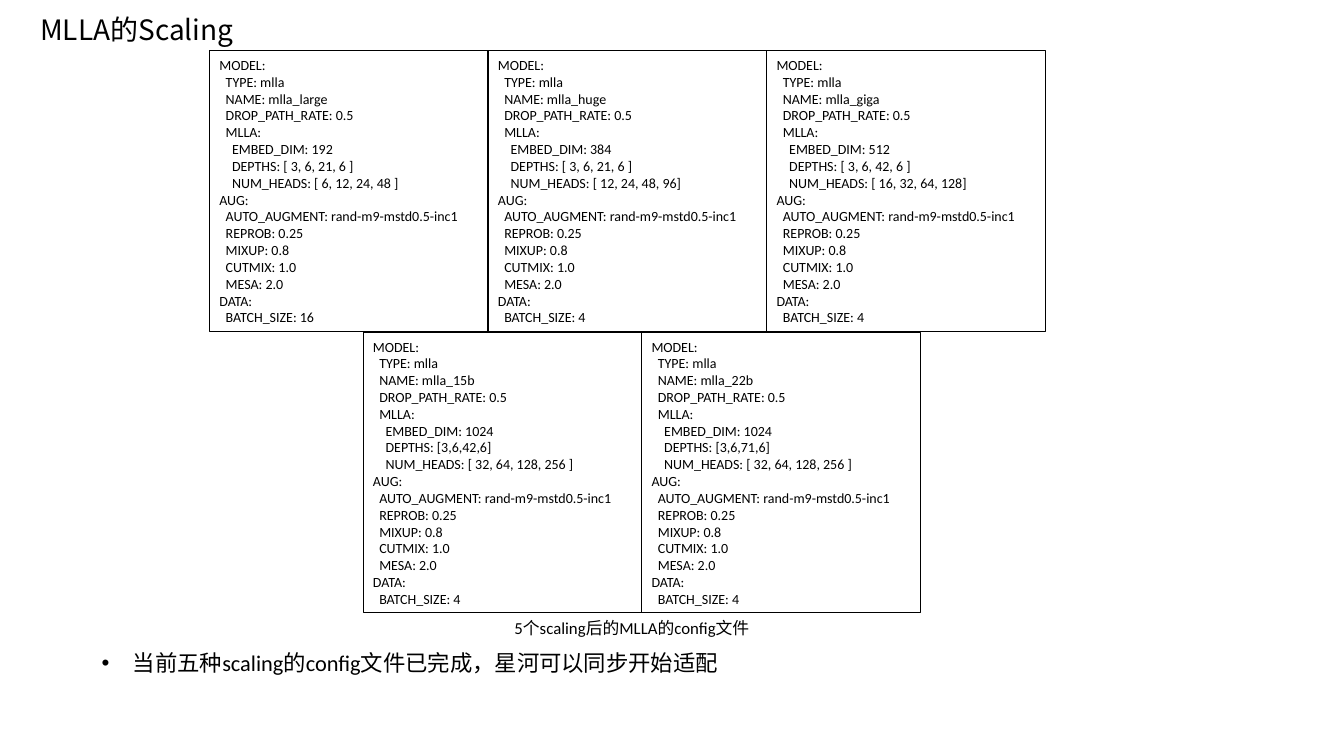
from dataclasses import dataclass

from pptx import Presentation
from pptx.dml.color import RGBColor
from pptx.enum.shapes import MSO_SHAPE as Preset
from pptx.enum.text import MSO_ANCHOR as Anchor, PP_ALIGN as Align
from pptx.oxml.ns import qn
from pptx.util import Cm, Pt
from lxml.etree import SubElement


@dataclass(frozen=True)
class Theme:
    ink: RGBColor = RGBColor(0, 0, 0)
    latin: str = "Calibri"
    chinese: str = "Noto Sans CJK SC"
    title_size: int = 20
    bullet_size: int = 16
    caption_size: int = 12
    config_size: int = 10
    border: float = 0.75


class SlideBuilder:
    def __init__(self, slide, theme):
        self.slide = slide
        self.theme = theme

    def set_values(self, target, values):
        for name, value in values.items():
            setattr(target, name, value)

    def add_words(self, paragraph, text, size, font=None, align=Align.LEFT):
        paragraph.alignment = align
        run = paragraph.add_run()
        run.text = text
        self.set_values(run.font, {"size": Pt(size), "name": font or self.theme.latin})
        run.font.color.rgb = self.theme.ink
        properties = run._r.get_or_add_rPr()
        SubElement(properties, qn("a:ea")).set("typeface", self.theme.chinese)

    def indent(self, paragraph, margin, first=0.0):
        properties = paragraph._p.get_or_add_pPr()
        properties.set("marL", str(int(Cm(margin))))
        properties.set("indent", str(int(Cm(first))))
        return properties

    def text(self, box, text, size, **style):
        shape = self.slide.shapes.add_textbox(*map(Cm, box))
        frame = shape.text_frame
        self.set_values(frame, {"word_wrap": True, "vertical_anchor": Anchor.MIDDLE})
        paragraph = frame.paragraphs[0]
        self.add_words(paragraph, text, size, **style)
        return paragraph

    def bullet(self, box, text, size):
        paragraph = self.text(box, text, size)
        properties = self.indent(paragraph, 0.79, -0.79)
        SubElement(properties, qn("a:buFont")).set("typeface", "Arial")
        SubElement(properties, qn("a:buChar")).set("char", "•")

    def config(self, box, lines):
        shape = self.slide.shapes.add_shape(Preset.RECTANGLE, *map(Cm, box))
        shape.shadow.inherit = False
        shape.fill.background()
        shape.line.color.rgb = self.theme.ink
        shape.line.width = Pt(self.theme.border)
        frame = shape.text_frame
        self.set_values(frame, {"word_wrap": True, "vertical_anchor": Anchor.MIDDLE})
        for index, (level, line) in enumerate(lines):
            paragraph = frame.add_paragraph() if index else frame.paragraphs[0]
            self.add_words(paragraph, line, self.theme.config_size)
            self.indent(paragraph, level * LEVEL_INDENT)


LEVEL_INDENT = 0.16
CONFIG_WIDTH = 7.02
CONFIG_ROWS = [
    (5.28, 1.27, 7.09, [
        ("mlla_large", "192", "[ 3, 6, 21, 6 ]", "[ 6, 12, 24, 48 ]", 16),
        ("mlla_huge", "384", "[ 3, 6, 21, 6 ]", "[ 12, 24, 48, 96]", 4),
        ("mlla_giga", "512", "[ 3, 6, 42, 6 ]", "[ 16, 32, 64, 128]", 4),
    ]),
    (9.15, 8.38, 7.06, [
        ("mlla_15b", "1024", "[3,6,42,6]", "[ 32, 64, 128, 256 ]", 4),
        ("mlla_22b", "1024", "[3,6,71,6]", "[ 32, 64, 128, 256 ]", 4),
    ]),
]


def config_lines(name, embed_dim, depths, heads, batch_size):
    return [
        (0, "MODEL:"),
        (1, "TYPE: mlla"),
        (1, f"NAME: {name}"),
        (1, "DROP_PATH_RATE: 0.5"),
        (1, "MLLA:"),
        (2, f"EMBED_DIM: {embed_dim}"),
        (2, f"DEPTHS: {depths}"),
        (2, f"NUM_HEADS: {heads}"),
        (0, "AUG:"),
        (1, "AUTO_AUGMENT: rand-m9-mstd0.5-inc1"),
        (1, "REPROB: 0.25"),
        (1, "MIXUP: 0.8"),
        (1, "CUTMIX: 1.0"),
        (1, "MESA: 2.0"),
        (0, "DATA:"),
        (1, f"BATCH_SIZE: {batch_size}"),
    ]


def main():
    presentation = Presentation()
    presentation.slide_width = Cm(33.87)
    presentation.slide_height = Cm(19.05)
    theme = Theme()
    slide = presentation.slides.add_slide(presentation.slide_layouts[6])
    builder = SlideBuilder(slide, theme)

    builder.text((0.76, 0.18, 25.8, 1.12), "MLLA的Scaling", theme.title_size, font=theme.chinese)
    for left, top, height, models in CONFIG_ROWS:
        for column, model in enumerate(models):
            box = (left + column * CONFIG_WIDTH, top, CONFIG_WIDTH, height)
            builder.config(box, config_lines(*model))
    builder.text((5.28, 15.44, 21.29, 0.76), "5个scaling后的MLLA的config文件",
                 theme.caption_size, align=Align.CENTER)
    builder.bullet((2.31, 16.23, 26.62, 0.94),
                   "当前五种scaling的config文件已完成，星河可以同步开始适配", theme.bullet_size)
    presentation.save("out.pptx")


if __name__ == "__main__":
    main()
